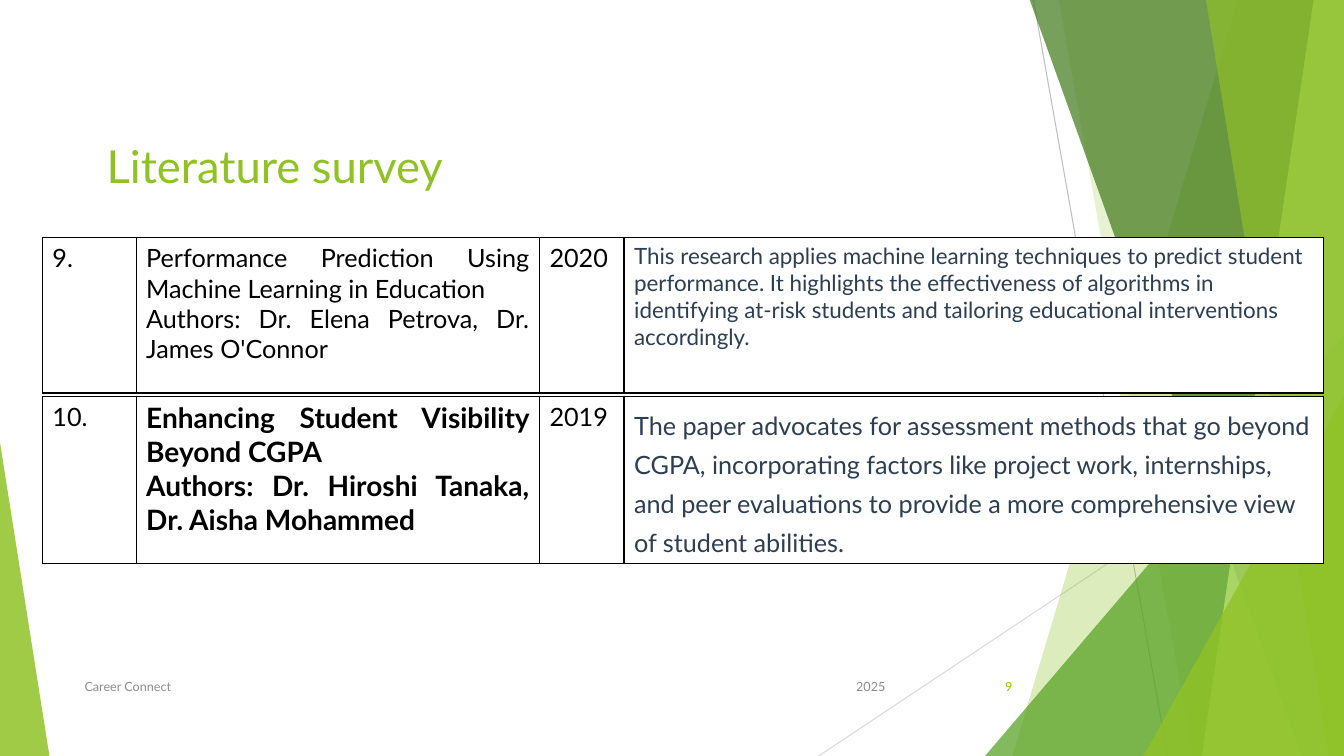
from typing import NamedTuple

from lxml import etree
from pptx import Presentation
from pptx import util as u
from pptx.dml.color import RGBColor
from pptx.enum import shapes, text
from pptx.oxml import ns

WIDTH, HEIGHT = 13.33, 7.5
FONT = "Lato"
LIME = RGBColor(0x90, 0xC2, 0x26)
PALE_LIME = RGBColor(0xC0, 0xE4, 0x74)
GREEN = RGBColor(0x54, 0xA0, 0x21)
DARK_GREEN = RGBColor(0x3F, 0x78, 0x19)
GREY = RGBColor(0x8C, 0x8C, 0x8C)
SILVER = RGBColor(0xBF, 0xBF, 0xBF)
LIGHT_GREY = RGBColor(0xD9, 0xD9, 0xD9)
SLATE = RGBColor(0x2C, 0x3E, 0x50)
BLACK = RGBColor(0, 0, 0)
WHITE = RGBColor(0xFF, 0xFF, 0xFF)

LEFT, RIGHT, JUSTIFY = text.PP_ALIGN.LEFT, text.PP_ALIGN.RIGHT, text.PP_ALIGN.JUSTIFY
TOP, MIDDLE = text.MSO_ANCHOR.TOP, text.MSO_ANCHOR.MIDDLE


class Ray(NamedTuple):
    x1: float
    y1: float
    x2: float
    y2: float
    color: RGBColor


class Band(NamedTuple):
    """Panel with a slanted left side, reaching to the right slide edge."""
    top_x: float
    bottom_x: float
    color: RGBColor
    opacity: int


class Triangle(NamedTuple):
    """Right triangle standing on the bottom slide edge."""
    x: float
    y: float
    w: float
    apex: float
    color: RGBColor
    opacity: int


class Label(NamedTuple):
    x: float
    y: float
    w: float
    h: float
    words: str
    size: float
    color: RGBColor
    align: text.PP_ALIGN = LEFT
    anchor: text.MSO_ANCHOR = TOP


class Paper(NamedTuple):
    y: float
    h: float
    number: str
    title: str
    authors: str
    year: str
    summary: str
    title_size: float
    title_bold: bool
    summary_size: float
    summary_spacing: float


DECORATION = [
    Ray(10.25, 0, 11.58, HEIGHT, SILVER),
    Ray(WIDTH, 4.03, 8.12, HEIGHT, LIGHT_GREY),
    Band(12.28, 10.04, LIME, 30),
    Band(10.5, 11.83, LIME, 20),
    Triangle(9.77, 3.33, 3.56, 1, GREEN, 72),
    Band(10.21, 12.91, DARK_GREEN, 70),
    Band(13.03, 11.92, PALE_LIME, 70),
    Band(11.96, 13.18, LIME, 65),
    Triangle(11.34, 3.93, 1.99, 1, LIME, 80),
    Triangle(0, 4.39, 0.49, 0, LIME, 85),
]
LABELS = [
    Label(0.96, 1.32, 4.47, 0.6, "Literature survey", 32.4, LIME),
    Label(7.88, 6.61, 1, 0.4, "2025", 9, GREY, RIGHT, MIDDLE),
    Label(0.74, 6.61, 6.89, 0.4, "Career Connect", 9, GREY, LEFT, MIDDLE),
    Label(9.39, 6.61, 0.75, 0.4, "9", 9, LIME, RIGHT, MIDDLE),
]
TABLE_X = 0.42
COLUMNS = [0.93, 4, 0.84, 6.94]
PAPERS = [
    Paper(2.36, 1.54, "9.",
          "Performance Prediction Using Machine Learning in Education",
          "Authors: Dr. Elena Petrova, Dr. James O'Connor", "2020",
          "This research applies machine learning techniques to predict student "
          "performance. It highlights the effectiveness of algorithms in identifying "
          "at-risk students and tailoring educational interventions accordingly.",
          18, False, 16, 1),
    Paper(3.93, 1.62, "10.",
          "Enhancing Student Visibility Beyond CGPA",
          "Authors: Dr. Hiroshi Tanaka, Dr. Aisha Mohammed", "2019",
          "The paper advocates for assessment methods that go beyond CGPA, "
          "incorporating factors like project work, internships, and peer evaluations "
          "to provide a more comprehensive view of student abilities.",
          20, True, 18, 1.3),
]


def write(tf, *paragraphs: str, size: float = 18, color: RGBColor = BLACK,
          bold: bool = False, align: text.PP_ALIGN = LEFT, spacing: float = 1) -> None:
    tf.word_wrap = True
    for i, words in enumerate(paragraphs):
        p = tf.add_paragraph() if i else tf.paragraphs[0]
        p.alignment, p.line_spacing = align, spacing
        r = p.add_run()
        r.text = words
        r.font.name, r.font.size, r.font.bold = FONT, u.Pt(size), bold
        r.font.color.rgb = color


def paint(sp, color: RGBColor, opacity: int) -> None:
    sp.shadow.inherit = False
    sp.line.fill.background()
    sp.fill.solid()
    sp.fill.fore_color.rgb = color
    srgb = sp.fill._xPr.find(".//" + ns.qn("a:srgbClr"))
    etree.SubElement(srgb, ns.qn("a:alpha"), val=str(opacity * 1000))


def draw_ray(s, ray: Ray) -> None:
    line = s.shapes.add_connector(shapes.MSO_CONNECTOR.STRAIGHT, u.Inches(ray.x1),
                                  u.Inches(ray.y1), u.Inches(ray.x2), u.Inches(ray.y2))
    line.line.color.rgb = ray.color
    line.line.width = u.Pt(0.75)
    etree.SubElement(line._element.spPr, ns.qn("a:effectLst"))


def draw_band(s, band: Band) -> None:
    outline = s.shapes.build_freeform(u.Inches(band.top_x), u.Inches(-0.01))
    corners = [(WIDTH, -0.01), (WIDTH, HEIGHT), (band.bottom_x, HEIGHT)]
    outline.add_line_segments([(u.Inches(x), u.Inches(y)) for x, y in corners])
    paint(outline.convert_to_shape(), band.color, band.opacity)


def draw_triangle(s, tri: Triangle) -> None:
    sp = s.shapes.add_shape(shapes.MSO_SHAPE.ISOSCELES_TRIANGLE, u.Inches(tri.x),
                            u.Inches(tri.y), u.Inches(tri.w), u.Inches(HEIGHT - tri.y))
    sp.adjustments[0] = tri.apex
    paint(sp, tri.color, tri.opacity)


def draw_label(s, label: Label) -> None:
    box = s.shapes.add_textbox(u.Inches(label.x), u.Inches(label.y),
                               u.Inches(label.w), u.Inches(label.h))
    tf = box.text_frame
    tf.vertical_anchor = label.anchor
    write(tf, label.words, size=label.size, color=label.color, align=label.align)


def frame_cell(cell) -> None:
    """Give a cell black 1 pt borders and a white fill."""
    tc_pr = cell._tc.get_or_add_tcPr()
    for side in ("lnL", "lnR", "lnT", "lnB"):
        ln = etree.SubElement(tc_pr, ns.qn(f"a:{side}"), w=str(u.Pt(1)))
        solid = etree.SubElement(ln, ns.qn("a:solidFill"))
        etree.SubElement(solid, ns.qn("a:srgbClr"), val=str(BLACK))
    cell.fill.solid()
    cell.fill.fore_color.rgb = WHITE


def draw_paper(s, paper: Paper) -> None:
    table = s.shapes.add_table(1, len(COLUMNS), u.Inches(TABLE_X), u.Inches(paper.y),
                               u.Inches(sum(COLUMNS)), u.Inches(paper.h)).table
    table.first_row = table.horz_banding = False
    for column, width in zip(table.columns, COLUMNS):
        column.width = u.Inches(width)
    number, title, year, summary = table.rows[0].cells
    for cell in (number, title, year, summary):
        frame_cell(cell)
    write(number.text_frame, paper.number, align=JUSTIFY)
    write(title.text_frame, paper.title, paper.authors, size=paper.title_size,
          bold=paper.title_bold, align=JUSTIFY)
    write(year.text_frame, paper.year, align=JUSTIFY)
    write(summary.text_frame, paper.summary, size=paper.summary_size, color=SLATE,
          spacing=paper.summary_spacing)


def main() -> None:
    prs = Presentation()
    prs.slide_width, prs.slide_height = u.Inches(WIDTH), u.Inches(HEIGHT)
    s = prs.slides.add_slide(prs.slide_layouts[6])
    draw = {Ray: draw_ray, Band: draw_band, Triangle: draw_triangle}
    for item in DECORATION:
        draw[type(item)](s, item)
    for label in LABELS:
        draw_label(s, label)
    for paper in PAPERS:
        draw_paper(s, paper)
    prs.save("out.pptx")


if __name__ == "__main__":
    main()
